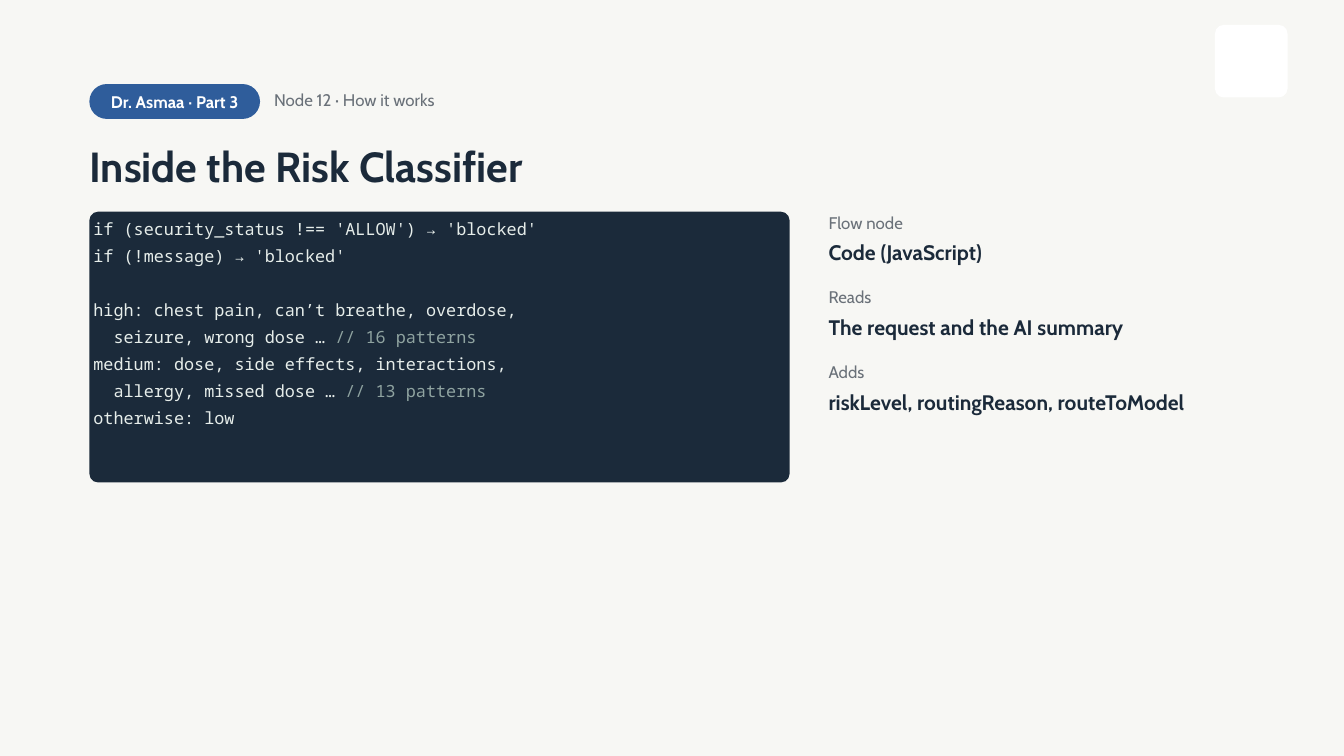
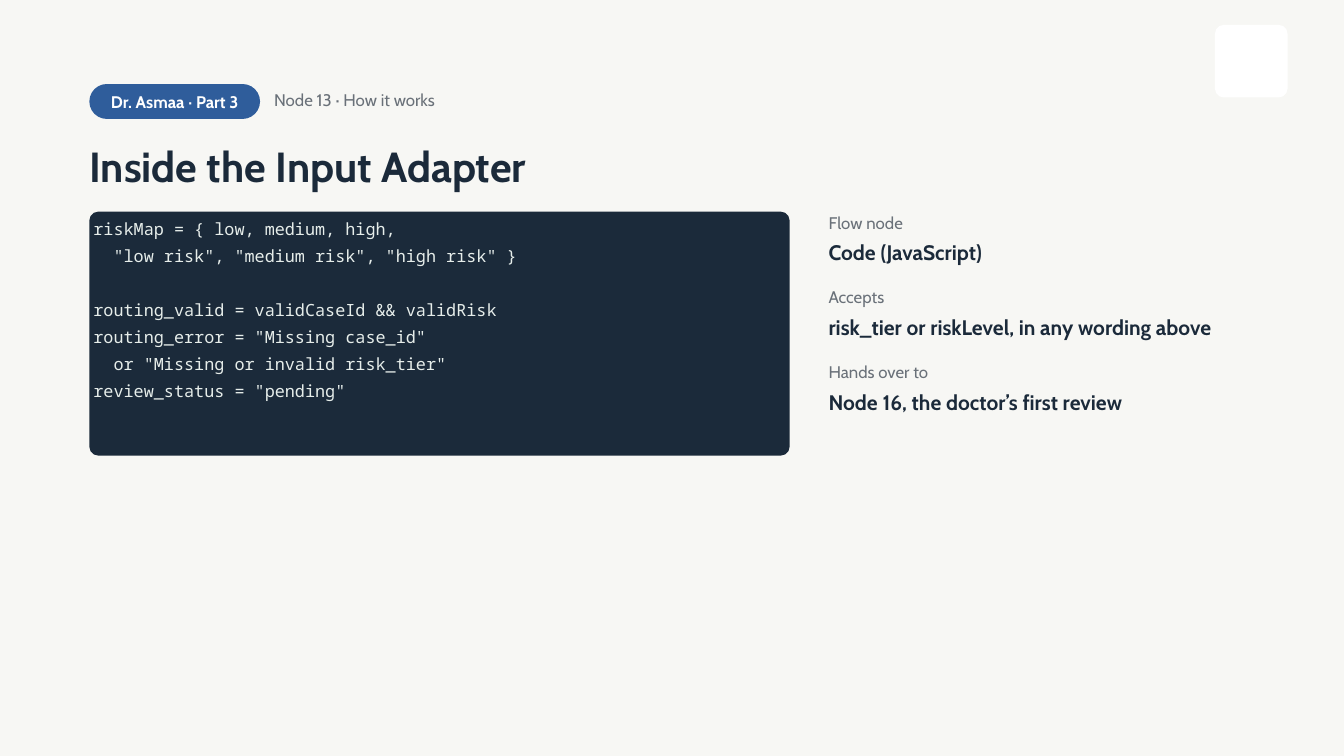
from pptx import Presentation
from pptx.dml.color import RGBColor
from pptx.enum.shapes import MSO_SHAPE
from pptx.enum.text import MSO_ANCHOR, PP_ALIGN
from pptx.util import Inches, Pt

ROUNDED = MSO_SHAPE.ROUNDED_RECTANGLE
TOP, MIDDLE = MSO_ANCHOR.TOP, MSO_ANCHOR.MIDDLE
LEFT, CENTER = PP_ALIGN.LEFT, PP_ALIGN.CENTER

PAPER = RGBColor(0xF7, 0xF7, 0xF4)
WHITE = RGBColor(0xFF, 0xFF, 0xFF)
BLUE = RGBColor(0x2F, 0x5D, 0x9B)
NAVY = RGBColor(0x1B, 0x2A, 0x3A)
GREY = RGBColor(0x6A, 0x71, 0x79)
CODE = RGBColor(0xE6, 0xED, 0xEA)
COMMENT = RGBColor(0x8F, 0xA3, 0xA0)

SANS, MONO = "Cabin", "Noto Sans Mono"
CODE_LEADING = 28.8
MARGIN, FACTS_LEFT = 1.33, 12.33
FACTS_TOP, FACTS_STEP = 3.11, 1.11

BADGE = "Dr. Asmaa · Part 3"
SLIDES = [
    {
        "kicker": "Node 12 · How it works",
        "title": "Inside the Risk Classifier",
        "code": """if (security_status !== 'ALLOW') → 'blocked'
if (!message) → 'blocked'

high: chest pain, can’t breathe, overdose,
  seizure, wrong dose … // 16 patterns
medium: dose, side effects, interactions,
  allergy, missed dose … // 13 patterns
otherwise: low""",
        "facts": [
            ("Flow node", "Code (JavaScript)"),
            ("Reads", "The request and the AI summary"),
            ("Adds", "riskLevel, routingReason, routeToModel"),
        ],
    },
    {
        "kicker": "Node 13 · How it works",
        "title": "Inside the Input Adapter",
        "code": """riskMap = { low, medium, high,
  "low risk", "medium risk", "high risk" }

routing_valid = validCaseId && validRisk
routing_error = "Missing case_id"
  or "Missing or invalid risk_tier"
review_status = "pending\"""",
        "facts": [
            ("Flow node", "Code (JavaScript)"),
            ("Accepts", "risk_tier or riskLevel, in any wording above"),
            ("Hands over to", "Node 16, the doctor’s first review"),
        ],
    },
]


def add_panel(s, left, top, width, height, color, radius):
    sp = s.shapes.add_shape(ROUNDED, Inches(left), Inches(top), Inches(width), Inches(height))
    sp.adjustments[0] = radius / min(width, height)
    sp.shadow.inherit = False
    sp.fill.solid()
    sp.fill.fore_color.rgb = color
    sp.line.fill.background()


def add_frame(s, left, top, width, height, inset=0, anchor=TOP):
    tf = s.shapes.add_textbox(Inches(left), Inches(top), Inches(width), Inches(height)).text_frame
    tf.word_wrap = True
    tf.vertical_anchor = anchor
    tf.margin_left = tf.margin_right = tf.margin_top = tf.margin_bottom = Inches(inset)
    return tf


def add_run(p, text, size, color, font=SANS, bold=False):
    r = p.add_run()
    r.text = text
    r.font.name, r.font.size, r.font.bold = font, Pt(size), bold
    r.font.color.rgb = color


def add_label(s, box, text, size, color, leading, bold=False, inset=0, anchor=TOP, align=LEFT):
    p = add_frame(s, *box, inset, anchor).paragraphs[0]
    p.alignment = align
    p.line_spacing = Pt(leading)
    add_run(p, text, size, color, bold=bold)


def add_code(s, code):
    lines = code.split("\n")
    height = 0.83 + CODE_LEADING / 72 * len(lines)
    add_panel(s, MARGIN, 3.15, 10.42, height, NAVY, 0.13)
    tf = add_frame(s, MARGIN, 3.1, 10.42, height + 0.06, 0.06)
    gap = 0
    for i, line in enumerate(lines):
        if not line:
            gap = CODE_LEADING
            continue
        p = tf.add_paragraph() if i else tf.paragraphs[0]
        p.line_spacing = Pt(CODE_LEADING)
        if gap:
            p.space_before = Pt(gap)
            gap = 0
        statement, mark, note = line.partition("//")
        add_run(p, statement, 18, CODE, MONO)
        if mark:
            add_run(p, mark + note, 18, COMMENT, MONO)


def add_facts(s, facts):
    for i, (name, value) in enumerate(facts):
        top = FACTS_TOP + i * FACTS_STEP
        add_label(s, (FACTS_LEFT, top, 6.52, 0.43), name, 18, GREY, 25.2)
        add_label(s, (FACTS_LEFT, top + 0.43, 7.6, 0.47), value, 22.5, NAVY, 29.2, bold=True)


def add_header(s, kicker, title):
    add_panel(s, 18.08, 0.37, 1.08, 1.08, WHITE, 0.13)
    add_panel(s, MARGIN, 1.25, 2.54, 0.52, BLUE, 0.26)
    add_label(s, (MARGIN, 1.22, 2.54, 0.55), BADGE, 18, WHITE, 25.2,
              bold=True, inset=0.06, anchor=MIDDLE, align=CENTER)
    add_label(s, (4.08, 1.29, 3.13, 0.43), kicker, 18, GREY, 25.2)
    add_label(s, (MARGIN, 2.13, 15.88, 0.73), title, 45, NAVY, 51.7, bold=True)


def main():
    prs = Presentation()
    prs.slide_width, prs.slide_height = Inches(20), Inches(11.25)
    for content in SLIDES:
        s = prs.slides.add_slide(prs.slide_layouts[6])
        s.background.fill.solid()
        s.background.fill.fore_color.rgb = PAPER
        add_header(s, content["kicker"], content["title"])
        add_code(s, content["code"])
        add_facts(s, content["facts"])
    prs.save("out.pptx")


if __name__ == "__main__":
    main()
